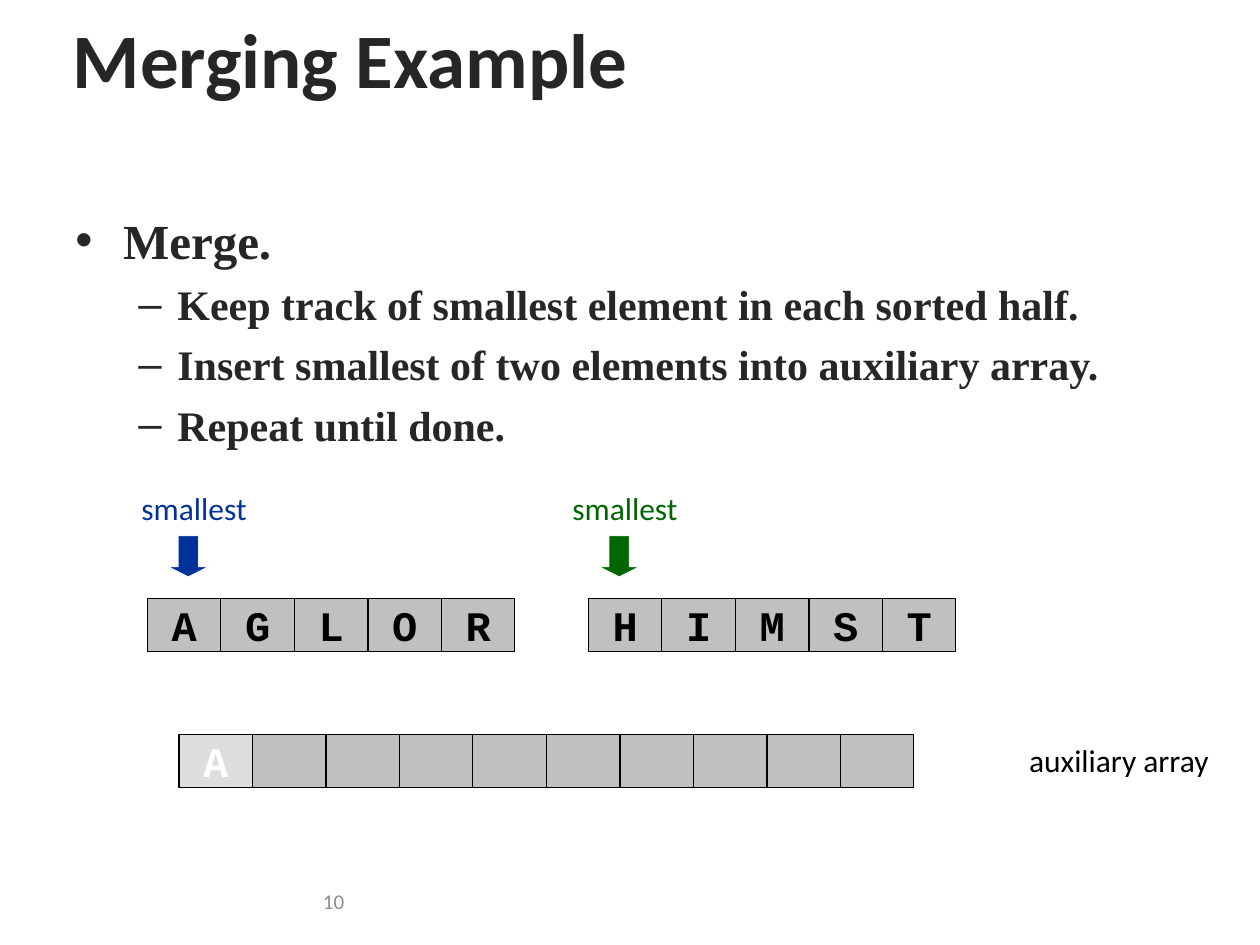
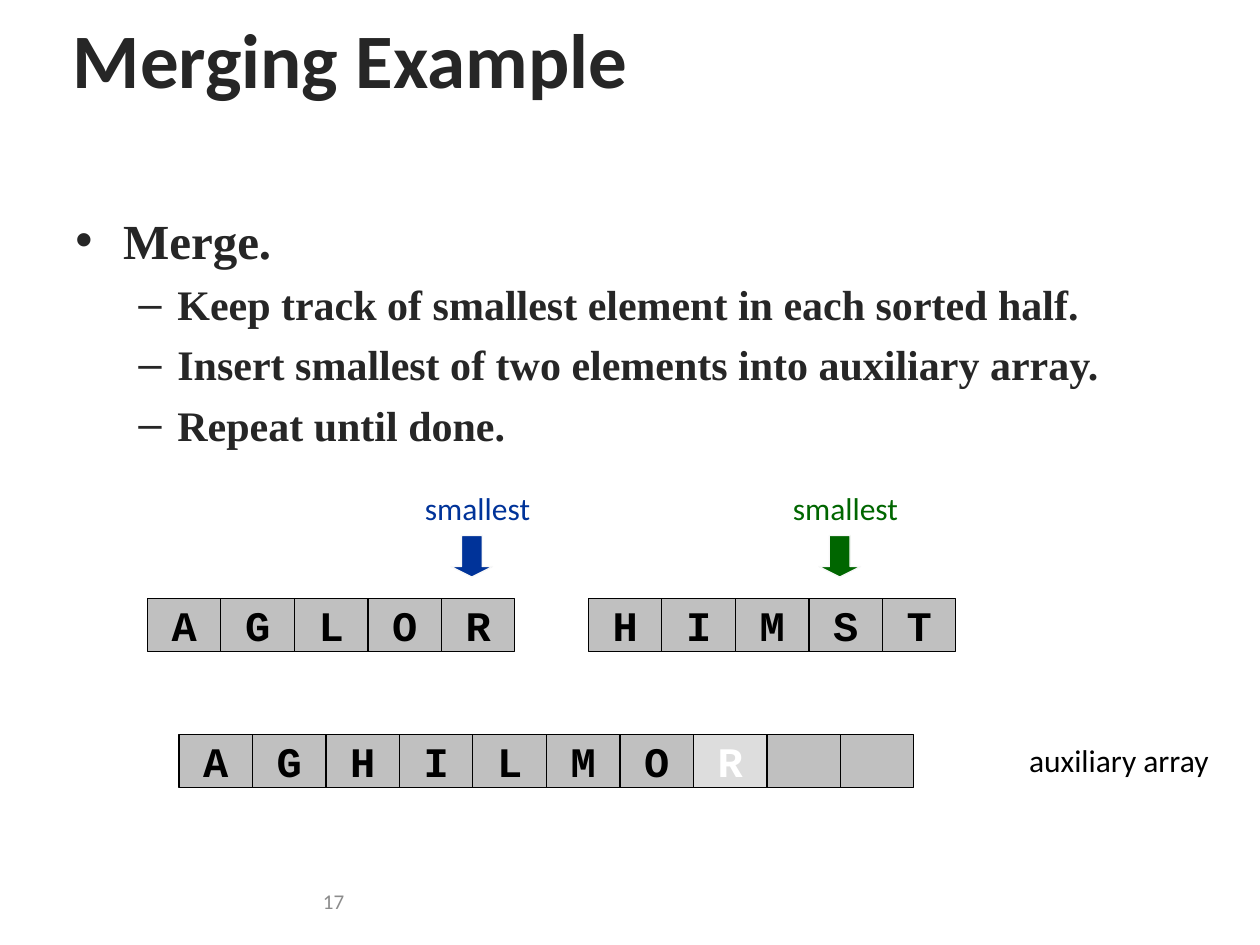
from lxml import etree
from pptx import Presentation
from pptx.dml.color import RGBColor
from pptx.enum import shapes, text
from pptx.oxml.ns import qn
from pptx.util import Inches, Pt

# Content
TITLE = "Merging Example"
BULLETS = [
    (0, "Merge."),
    (1, "Keep track of smallest element in each sorted half."),
    (1, "Insert smallest of two elements into auxiliary array."),
    (1, "Repeat until done."),
]
HALVES = [(1.17, "AGLOR"), (4.67, "HIMST")]  # left edge, letters
STEPS = [  # marker lefts: first half, second half
    {"number": "10", "merged": "A", "markers": (0.5, 3.92)},
    {"number": "17", "merged": "AGHILMOR", "markers": (2.75, 5.67)},
]

# Shared style
INK, BLACK, WHITE, GREY = "262626", "000000", "FFFFFF", "8C8C8C"
CELL_FILL, NEWEST_FILL, ARROW_EDGE = "C0C0C0", "DDDDDD", "F8F8F8"
MARKER_COLORS = ("003399", "006600")
SANS, SERIF, MONO = "Calibri", "Times New Roman", "Courier New"
LEVELS = [  # bullet, size, text indent, hanging indent
    ("•", 28, 0.38, 0.38),
    ("–", 24, 0.81, 0.31),
]
CELL_WIDTH, CELL_HEIGHT = 7 / 12, 0.42
HALVES_TOP, MERGED_TOP, MERGED_LEFT, MERGED_SIZE = 4.75, 5.83, 1.42, 10
ALIGN, ANCHOR = text.PP_ALIGN, text.MSO_ANCHOR


def color(value):
    return RGBColor.from_string(value)


def style(para, size, font, ink, bold=False, align=ALIGN.LEFT):
    para.alignment = align
    for span in para.runs:
        span.font.size = Pt(size)
        span.font.name = font
        span.font.bold = bold
        span.font.color.rgb = color(ink)


def add_text(page, words, place, size, ink, bold=False, align=ALIGN.CENTER, anchor=ANCHOR.TOP):
    frame = page.shapes.add_textbox(*map(Inches, place)).text_frame
    frame.word_wrap = True
    frame.vertical_anchor = anchor
    frame.text = words
    style(frame.paragraphs[0], size, SANS, ink, bold, align)


def add_shape(page, kind, place, fill, line):
    shape = page.shapes.add_shape(kind, *map(Inches, place))
    shape.shadow.inherit = False
    shape.fill.solid()
    shape.fill.fore_color.rgb = color(fill)
    shape.line.color.rgb = color(line)
    shape.line.width = Pt(0.75)
    return shape


def add_bullets(page):
    frame = page.shapes.add_textbox(*map(Inches, (0.5, 1.62, 9, 4.95))).text_frame
    frame.word_wrap = True
    for index, (level, words) in enumerate(BULLETS):
        bullet, size, indent, hanging = LEVELS[level]
        para = frame.add_paragraph() if index else frame.paragraphs[0]
        para.text = words
        para.level = level
        para.space_before = Pt(size * 0.23)
        style(para, size, SERIF, INK, bold=True)
        properties = para._p.get_or_add_pPr()
        properties.set("marL", str(Inches(indent)))
        properties.set("indent", str(-Inches(hanging)))
        etree.SubElement(properties, qn("a:buFont")).set("typeface", "Arial")
        etree.SubElement(properties, qn("a:buChar")).set("char", bullet)


def add_array(page, left, top, letters, size, newest=None):
    for index in range(size):
        is_newest = index == newest
        place = (left + index * CELL_WIDTH, top, CELL_WIDTH, CELL_HEIGHT)
        cell = add_shape(page, shapes.MSO_SHAPE.RECTANGLE, place,
                         NEWEST_FILL if is_newest else CELL_FILL, BLACK)
        if index < len(letters):
            frame = cell.text_frame
            frame.word_wrap = False
            frame.vertical_anchor = ANCHOR.MIDDLE
            frame.text = letters[index]
            style(frame.paragraphs[0], 24, MONO, WHITE if is_newest else BLACK,
                  bold=True, align=ALIGN.CENTER)


def add_marker(page, left, ink):
    add_text(page, "smallest", (left, 3.83, 2.08, 0.4), 18, ink)
    arrow = add_shape(page, shapes.MSO_SHAPE.DOWN_ARROW, (left + 0.83, 4.25, 0.33, 0.33),
                      ink, ARROW_EDGE)
    arrow.adjustments[0], arrow.adjustments[1] = 0.5, 0.25


def add_step(deck, step):
    page = deck.slides.add_slide(deck.slide_layouts[6])
    # Title, bullets and page number
    add_text(page, TITLE, (0.48, 0.08, 9.19, 0.75), 44, INK, True, ALIGN.LEFT, ANCHOR.MIDDLE)
    add_bullets(page)
    add_text(page, step["number"], (0.5, 6.95, 2.33, 0.4), 12, GREY,
             align=ALIGN.RIGHT, anchor=ANCHOR.MIDDLE)
    # Sorted halves with their markers
    for left, ink in zip(step["markers"], MARKER_COLORS):
        add_marker(page, left, ink)
    for left, letters in HALVES:
        add_array(page, left, HALVES_TOP, letters, len(letters))
    # Auxiliary array, last inserted letter highlighted
    merged = step["merged"]
    add_array(page, MERGED_LEFT, MERGED_TOP, merged, MERGED_SIZE, len(merged) - 1)
    add_text(page, "auxiliary array", (7.92, MERGED_TOP, 1.92, 0.4), 18, BLACK)


def main():
    deck = Presentation()
    deck.slide_width, deck.slide_height = Inches(10), Inches(7.5)
    for step in STEPS:
        add_step(deck, step)
    deck.save("out.pptx")


if __name__ == "__main__":
    main()
